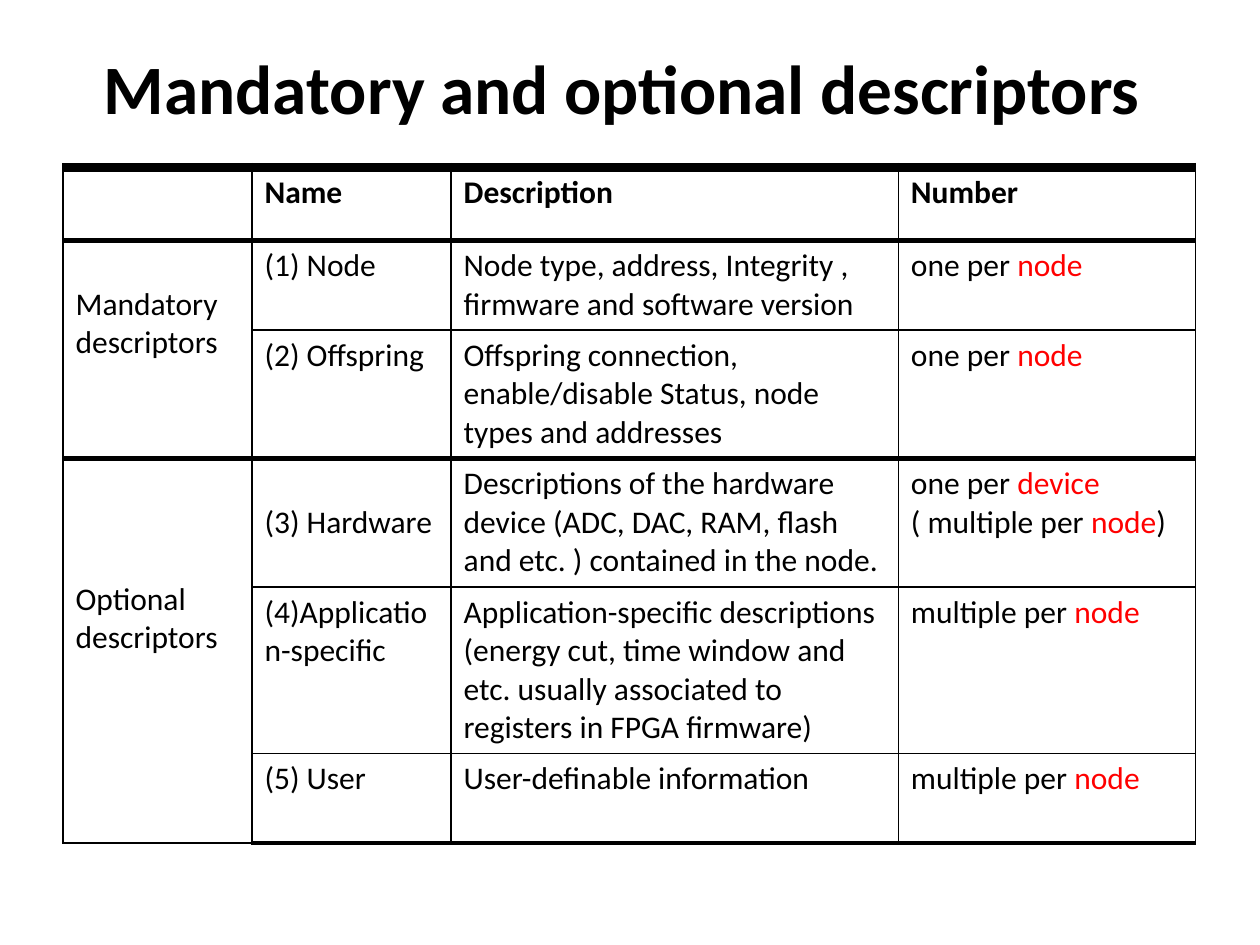
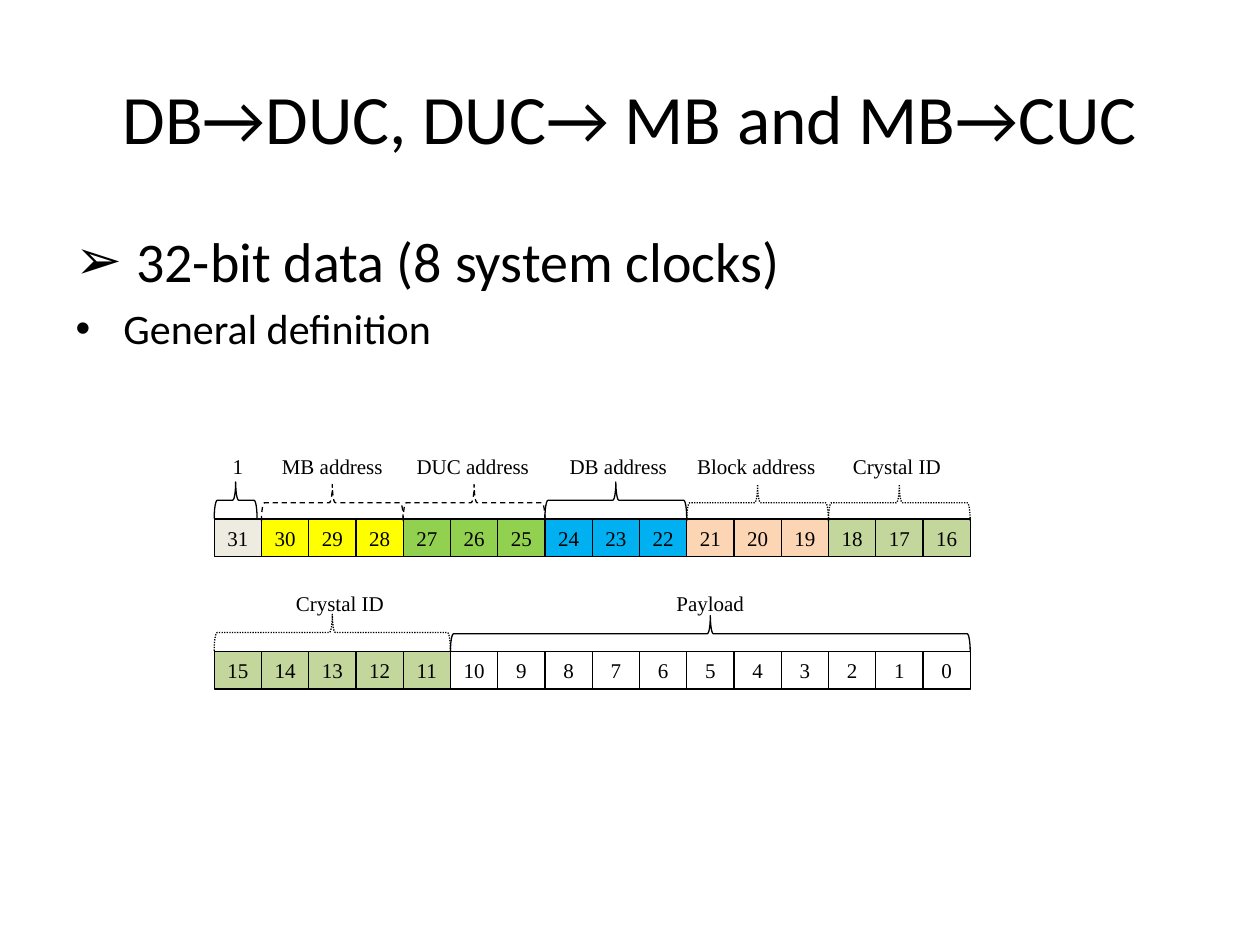
from lxml.etree import SubElement
from pptx import Presentation
from pptx.dml.color import RGBColor
from pptx.enum.dml import MSO_LINE_DASH_STYLE as Dash
from pptx.enum.shapes import MSO_SHAPE as Shape
from pptx.enum.text import MSO_ANCHOR as Anchor, MSO_AUTO_SIZE as AutoSize, PP_ALIGN as Align
from pptx.oxml.ns import qn
from pptx.util import Inches, Pt

COLORS = {
    "ink": "000000", "accent": "FF0000", "flag": "EEECE1", "board": "FFFF00",
    "unit": "92D050", "daughter": "00B0F0", "block": "FCD5B5", "crystal": "C3D69B",
}
SANS, SERIF = "Calibri", "Times New Roman"

DESCRIPTOR_TITLE = "Mandatory and optional descriptors "
HEADER = ("", "Name", "Description", "Number")
PER_NODE = [("one per ", "ink"), ("node", "accent")]
MANY_PER_NODE = [("multiple per ", "ink"), ("node", "accent")]
PER_DEVICE = [("one per ", "ink"), ("device", "accent"), (" ( multiple per ", "ink"),
              ("node", "accent"), (")", "ink")]
DESCRIPTORS = [
    ("Mandatory descriptors", "(1) Node",
     "Node type, address, Integrity , firmware and software version", PER_NODE),
    ("", "(2) Offspring",
     "Offspring connection, enable/disable Status, node types and addresses", PER_NODE),
    ("Optional descriptors", "(3) Hardware",
     "Descriptions of the hardware device (ADC, DAC, RAM, flash and etc. ) contained in the node.",
     PER_DEVICE),
    ("", "(4)Application-specific",
     "Application-specific descriptions (energy cut, time window and etc. "
     "usually associated to registers in FPGA firmware)", MANY_PER_NODE),
    ("", "(5) User", "User-definable information", MANY_PER_NODE),
]
COLUMN_WIDTHS = (1.5, 1.58, 3.55, 2.36)
ROW_HEIGHTS = (0.58, 0.71, 1.02, 1.02, 1.32, 0.71)
RULE_WEIGHTS = (6, 3, 1, 3, 1, 1, 3)
CATEGORY_ROWS = ((1, 2), (3, 5))
LINES_DOWN = {(1, 0): 1, (3, 0): 3, (3, 1): 1}
LINE_HEIGHT = 0.305

FORMAT_TITLE = "DB→DUC, DUC→ MB and MB→CUC"
FORMAT_POINTS = [("➢", " 32-bit data (8 system clocks)", 32), ("•", "General definition", 24)]
WORD_ROWS = [
    {"top": 4.12, "label_top": 3.55, "first_bit": 31, "fields": [
        ("1", 1, "flag", None, 0.15, 0),
        ("MB address", 3, "board", Dash.DASH, 0.13, 0),
        ("DUC address", 3, "unit", Dash.DASH, 0.13, -0.01),
        ("DB address", 3, "daughter", None, 0.15, 0.02),
        ("Block address", 3, "block", Dash.ROUND_DOT, 0.13, -0.01),
        ("Crystal ID", 3, "crystal", Dash.ROUND_DOT, 0.13, -0.02)]},
    {"top": 5.17, "label_top": 4.64, "first_bit": 15, "fields": [
        ("Crystal ID", 5, "crystal", Dash.ROUND_DOT, 0.15, 0.06),
        ("Payload", 11, None, None, 0.14, 0)]},
]
WORD_LEFT, BIT_WIDTH, BIT_HEIGHT, BRACE_DEPTH = 1.7, 0.375, 0.3, 0.29


def color(name):
    return RGBColor.from_string(COLORS[name])


def box(*lengths):
    return [Inches(length) for length in lengths]


def add_run(paragraph, text, size, font=SANS, ink="ink", bold=False):
    run = paragraph.add_run()
    run.text = text
    run.font.size, run.font.name, run.font.bold = Pt(size), font, bold
    run.font.color.rgb = color(ink)


def place(shape, *lengths):
    shape.left, shape.top, shape.width, shape.height = box(*lengths)


def add_titled_slide(presentation, layout, title, top, height, bold=False):
    slide = presentation.slides.add_slide(presentation.slide_layouts[layout])
    place(slide.shapes.title, 0.5, top, 9, height)
    frame = slide.shapes.title.text_frame
    frame.auto_size, frame.vertical_anchor = AutoSize.NONE, Anchor.MIDDLE
    frame.paragraphs[0].alignment = Align.CENTER
    add_run(frame.paragraphs[0], title, 39.6, bold=bold)
    return slide


def set_borders(cell, top, bottom):
    properties = cell._tc.get_or_add_tcPr()
    sides = (("a:lnL", 1), ("a:lnR", 1), ("a:lnT", top), ("a:lnB", bottom))
    for position, (tag, weight) in enumerate(sides):
        line = SubElement(properties, qn(tag), w=str(Pt(weight)))
        fill = SubElement(line, qn("a:solidFill"))
        SubElement(fill, qn("a:srgbClr"), val=COLORS["ink"])
        properties.insert(position, line)


def build_descriptor_slide(presentation):
    slide = add_titled_slide(presentation, 5, DESCRIPTOR_TITLE, 0.17, 1.04, bold=True)
    rows = [HEADER] + DESCRIPTORS
    table = slide.shapes.add_table(
        len(rows), len(HEADER), *box(0.5, 1.33, sum(COLUMN_WIDTHS), sum(ROW_HEIGHTS))).table
    table.first_row = table.horz_banding = False
    for column, width in zip(table.columns, COLUMN_WIDTHS):
        column.width = Inches(width)
    for row, height in zip(table.rows, ROW_HEIGHTS):
        row.height = Inches(height)
    for first, last in CATEGORY_ROWS:
        table.cell(first, 0).merge(table.cell(last, 0))
    for row_index, row in enumerate(rows):
        for column_index, content in enumerate(row):
            cell = table.cell(row_index, column_index)
            cell.fill.background()
            set_borders(cell, RULE_WEIGHTS[row_index], RULE_WEIGHTS[row_index + 1])
            lines_down = LINES_DOWN.get((row_index, column_index), 0)
            cell.margin_top = Inches(0.05 + lines_down * LINE_HEIGHT)
            runs = [(content, "ink")] if isinstance(content, str) else content
            for text, ink in runs:
                if text:
                    add_run(cell.text_frame.paragraphs[0], text, 18, ink=ink, bold=row_index == 0)


def add_points(body, points):
    place(body, 0.5, 1.75, 9, 4.95)
    frame = body.text_frame
    frame.auto_size = AutoSize.NONE
    for index, (bullet, text, size) in enumerate(points):
        paragraph = frame.add_paragraph() if index else frame.paragraphs[0]
        properties = paragraph._p.get_or_add_pPr()
        properties.set("marL", str(Inches(0.38)))
        properties.set("indent", str(-Inches(0.38)))
        SubElement(properties, qn("a:buFont"), typeface="Arial")
        SubElement(properties, qn("a:buChar"), char=bullet)
        add_run(paragraph, text, size)


def add_outline(shapes, kind, lengths, fill=None, dash=None):
    shape = shapes.add_shape(kind, *box(*lengths))
    shape.shadow.inherit = False
    if fill:
        shape.fill.solid()
        shape.fill.fore_color.rgb = color(fill)
    else:
        shape.fill.background()
    shape.line.color.rgb, shape.line.width = color("ink"), Pt(0.75)
    if dash:
        shape.line.dash_style = dash
    return shape


def write_centered(shape, text):
    frame = shape.text_frame
    frame.word_wrap = False
    frame.margin_left = frame.margin_right = 0
    frame.paragraphs[0].alignment = Align.CENTER
    add_run(frame.paragraphs[0], text, 12, SERIF)


def add_field(shapes, row, left, bit, field):
    label, count, fill, dash, rise, shift = field
    width = count * BIT_WIDTH
    for step in range(count):
        cell = add_outline(shapes, Shape.RECTANGLE,
                           (left + step * BIT_WIDTH, row["top"], BIT_WIDTH, BIT_HEIGHT), fill)
        write_centered(cell, str(bit - step))
    span = width if count > 1 else 0.34
    brace = add_outline(shapes, Shape.LEFT_BRACE,
                        (left + (span - BRACE_DEPTH) / 2, row["top"] - rise - span / 2,
                         BRACE_DEPTH, span), dash=dash)
    brace.rotation = 90
    caption = shapes.add_textbox(*box(left + shift, row["label_top"], width, BIT_HEIGHT))
    write_centered(caption, label)


def build_format_slide(presentation):
    slide = add_titled_slide(presentation, 1, FORMAT_TITLE, 0.3, 1.25)
    add_points(slide.placeholders[1], FORMAT_POINTS)
    shapes = slide.shapes.add_group_shape().shapes
    for row in WORD_ROWS:
        bits_before = 0
        for field in row["fields"]:
            add_field(shapes, row, WORD_LEFT + bits_before * BIT_WIDTH,
                      row["first_bit"] - bits_before, field)
            bits_before += field[1]


def main():
    presentation = Presentation()
    presentation.slide_width, presentation.slide_height = box(10, 7.5)
    build_descriptor_slide(presentation)
    build_format_slide(presentation)
    presentation.save("out.pptx")


if __name__ == "__main__":
    main()
